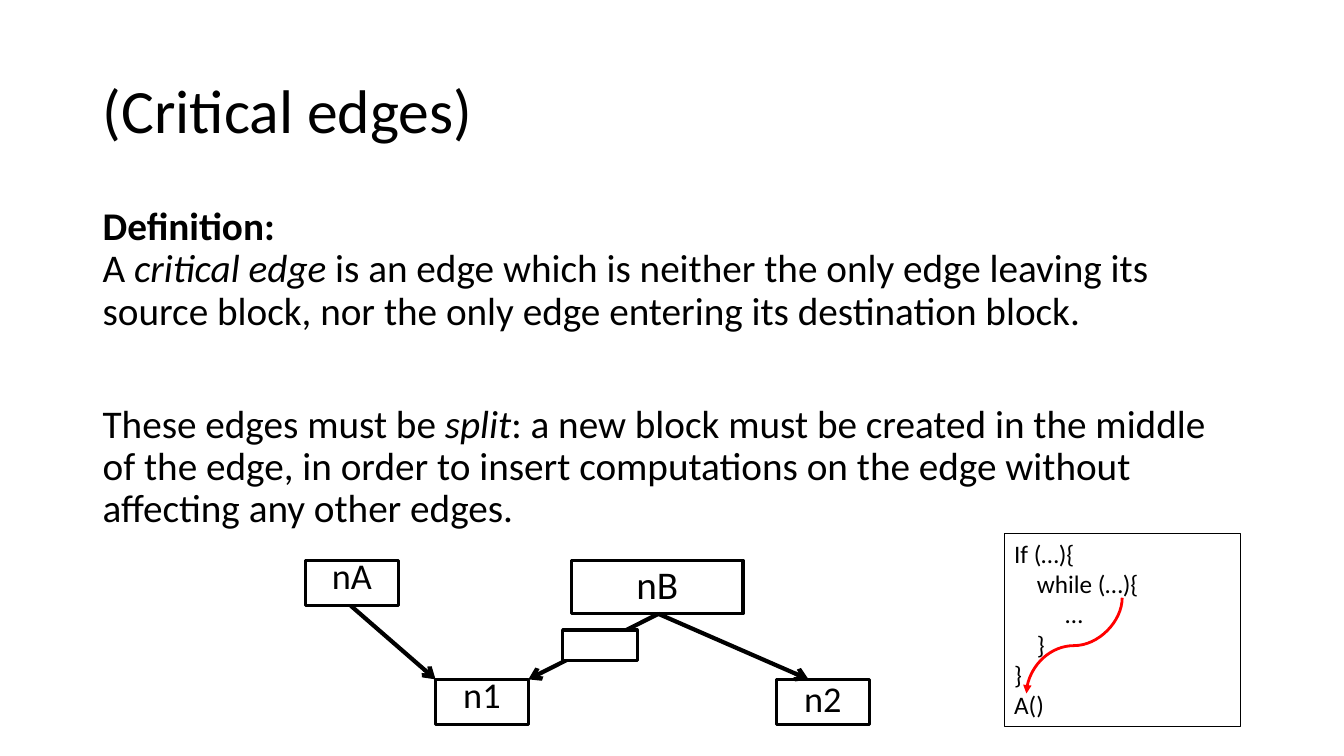
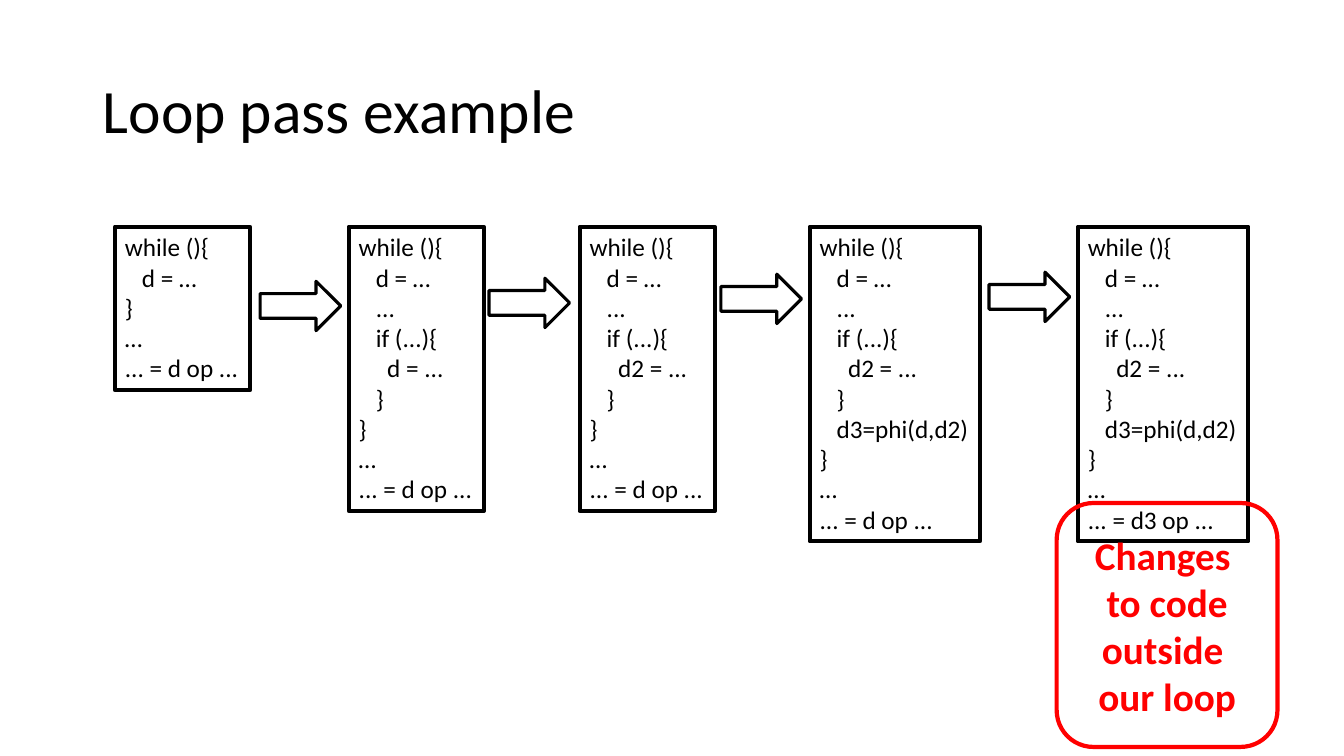
"""Build two slides on critical edges and a loop pass."""
from dataclasses import dataclass

from lxml.etree import SubElement
from pptx import Presentation
from pptx.dml.color import RGBColor
from pptx.enum.shapes import MSO_CONNECTOR, MSO_SHAPE
from pptx.enum.text import MSO_ANCHOR, MSO_AUTO_SIZE, PP_ALIGN
from pptx.oxml.ns import qn
from pptx.presentation import Presentation as Deck
from pptx.shapes.autoshape import Shape
from pptx.shapes.connector import Connector
from pptx.slide import Slide
from pptx.text.text import _Paragraph as Para
from pptx.util import Inches, Pt

FONT = "Calibri"
COLORS = {"ink": "000000", "paper": "FFFFFF", "alert": "FF0000"}
SPACE = 0.0565


@dataclass(frozen=True)
class Box:
    left: float
    top: float
    width: float
    height: float


@dataclass(frozen=True)
class Node:
    box: Box
    text: str = ""
    size: float = 25.9
    pitch: float = 0.9
    fill: str = ""


@dataclass(frozen=True)
class Edge:
    start: tuple[float, float]
    end: tuple[float, float]


@dataclass(frozen=True)
class Stage:
    left: float
    width: float
    lines: list[str]


def paint(name: str) -> RGBColor:
    return RGBColor.from_string(COLORS[name])


def style(par: Para, size: float, color: str = "ink", bold: bool = False) -> None:
    for run in par.runs:
        run.font.name = FONT
        run.font.size = Pt(size)
        run.font.bold = bold
        run.font.color.rgb = paint(color)


def start(deck: Deck, text: str) -> Slide:
    slide = deck.slides.add_slide(deck.slide_layouts[5])
    title = slide.shapes.title
    title.left, title.top = Inches(0.92), Inches(0.4)
    title.width, title.height = Inches(11.5), Inches(1.45)
    frame = title.text_frame
    frame.text = text
    frame.auto_size = MSO_AUTO_SIZE.NONE
    frame.vertical_anchor = MSO_ANCHOR.MIDDLE
    par = frame.paragraphs[0]
    par.alignment = PP_ALIGN.LEFT
    par.line_spacing = 0.9
    style(par, 44)
    return slide


def draw(slide: Slide, kind: MSO_SHAPE, box: Box, weight: float,
         color: str = "ink", fill: str = "") -> Shape:
    shape = slide.shapes.add_shape(
        kind, Inches(box.left), Inches(box.top), Inches(box.width), Inches(box.height))
    shape.shadow.inherit = False
    if fill:
        shape.fill.solid()
        shape.fill.fore_color.rgb = paint(fill)
    else:
        shape.fill.background()
    shape.line.color.rgb = paint(color)
    shape.line.width = Pt(weight)
    return shape


def link(slide: Slide, kind: MSO_CONNECTOR, edge: Edge, weight: float,
         color: str, head: str) -> Connector:
    line = slide.shapes.add_connector(
        kind, *(Inches(n) for n in (*edge.start, *edge.end)))
    line.line.color.rgb = paint(color)
    line.line.width = Pt(weight)
    SubElement(line.line._get_or_add_ln(), qn("a:tailEnd"), type=head)
    SubElement(line._element.spPr, qn("a:effectLst"))
    return line


def add_node(slide: Slide, node: Node) -> None:
    shape = draw(slide, MSO_SHAPE.RECTANGLE, node.box, 2.25, fill=node.fill)
    if node.text:
        frame = shape.text_frame
        frame.text = node.text
        frame.vertical_anchor = MSO_ANCHOR.TOP
        par = frame.paragraphs[0]
        par.alignment = PP_ALIGN.CENTER
        par.line_spacing = node.pitch
        par.space_before = Pt(10)
        style(par, node.size)


def add_code(slide: Slide, stage: Stage, top: float, weight: float) -> None:
    height = 0.3 * len(stage.lines) + 0.12
    box = Box(stage.left, top, stage.width, height)
    frame = draw(slide, MSO_SHAPE.RECTANGLE, box, weight).text_frame
    frame.text = "\n".join(line.lstrip() for line in stage.lines)
    frame.word_wrap = False
    frame.vertical_anchor = MSO_ANCHOR.TOP
    for par, line in zip(frame.paragraphs, stage.lines):
        par.alignment = PP_ALIGN.LEFT
        depth = len(line) - len(line.lstrip())
        par._p.get_or_add_pPr().set("marL", str(Inches(depth * SPACE)))
        style(par, 18)


def add_prose(slide: Slide) -> None:
    prose = [
        (10, ["Definition:"]),
        (0, ["A ", "critical edge", " is an edge which is neither the only edge leaving "
             "its source block, nor the only edge entering its destination block."]),
        (50.5, ["These edges must be ", "split", ": a new block must be created in the "
                "middle of the edge, in order to insert computations on the edge "
                "without affecting any other edges."]),
    ]
    frame = slide.shapes.add_textbox(
        Inches(0.92), Inches(2), Inches(11.5), Inches(3.46)).text_frame
    frame.word_wrap = True
    for count, (gap, parts) in enumerate(prose):
        par = frame.add_paragraph() if count else frame.paragraphs[0]
        par.line_spacing = 0.9
        par.space_before = Pt(gap)
        for place, part in enumerate(parts):
            run = par.add_run()
            run.text = part
            run.font.italic = place == 1
        style(par, 28, bold=count == 0)


def add_graph(slide: Slide) -> None:
    edges = [
        Edge((6.53, 6.09), (5.24, 6.74)),
        Edge((3.48, 6.01), (4.32, 6.74)),
        Edge((6.53, 6.09), (8.02, 6.74)),
    ]
    nodes = [
        Node(Box(4.32, 6.74, 0.92, 0.45), "n1", pitch=0.7),
        Node(Box(3.03, 5.56, 0.92, 0.45), "nA", pitch=0.7),
        Node(Box(5.67, 5.56, 1.7, 0.53), "nB", size=28),
        Node(Box(7.7, 6.74, 0.92, 0.45), "n2", pitch=0.8),
        Node(Box(5.58, 6.25, 0.74, 0.3), fill="paper"),
    ]
    for edge in edges:
        link(slide, MSO_CONNECTOR.STRAIGHT, edge, 3, "ink", "arrow")
    for node in nodes:
        add_node(slide, node)


def edge_slide(deck: Deck) -> None:
    slide = start(deck, "(Critical edges)")
    add_prose(slide)
    add_graph(slide)
    lines = ["If (…){", "    while (…){", "         …", "    }", "}", "A()"]
    add_code(slide, Stage(9.96, 2.34, lines), 5.29, 0.75)
    jump = Edge((10.18, 5.93), (11.13, 6.88))
    curve = link(slide, MSO_CONNECTOR.CURVE, jump, 2, "alert", "triangle")
    curve._element.spPr.find(qn("a:xfrm")).set("rot", "5400000")


def loop_code(inner: str, used: str = "d", phi: bool = False) -> list[str]:
    merge = ["   d3=phi(d,d2)"] if phi else []
    return ["while (){", "   d = …", "   ...", "   if (...){", f"     {inner} = ...",
            "   }", *merge, "}", "…", f"... = {used} op ..."]


def loop_slide(deck: Deck) -> None:
    slide = start(deck, "Loop pass example")
    stages = [
        Stage(1.14, 1.34, ["while (){", "   d = …", "}", "…", "... = d op ..."]),
        Stage(3.46, 1.34, loop_code("d")),
        Stage(5.75, 1.34, loop_code("d2")),
        Stage(8.03, 1.69, loop_code("d2", phi=True)),
        Stage(10.69, 1.69, loop_code("d2", "d3", True)),
    ]
    for stage in stages:
        add_code(slide, stage, 2.25, 3)
    for left, top in [(2.58, 2.79), (4.85, 2.76), (7.15, 2.72), (9.81, 2.7)]:
        draw(slide, MSO_SHAPE.RIGHT_ARROW, Box(left, top, 0.8, 0.49), 2.25)
    note = draw(slide, MSO_SHAPE.ROUNDED_RECTANGLE,
                Box(10.48, 4.99, 2.19, 2.42), 3, "alert")
    par = note.text_frame.paragraphs[0]
    par.text = "Changes \vto code outside \vour loop"
    par.alignment = PP_ALIGN.CENTER
    style(par, 28, "alert", True)


def main() -> None:
    deck = Presentation()
    deck.slide_width, deck.slide_height = Inches(13.33), Inches(7.5)
    edge_slide(deck)
    loop_slide(deck)
    deck.save("out.pptx")


if __name__ == "__main__":
    main()
